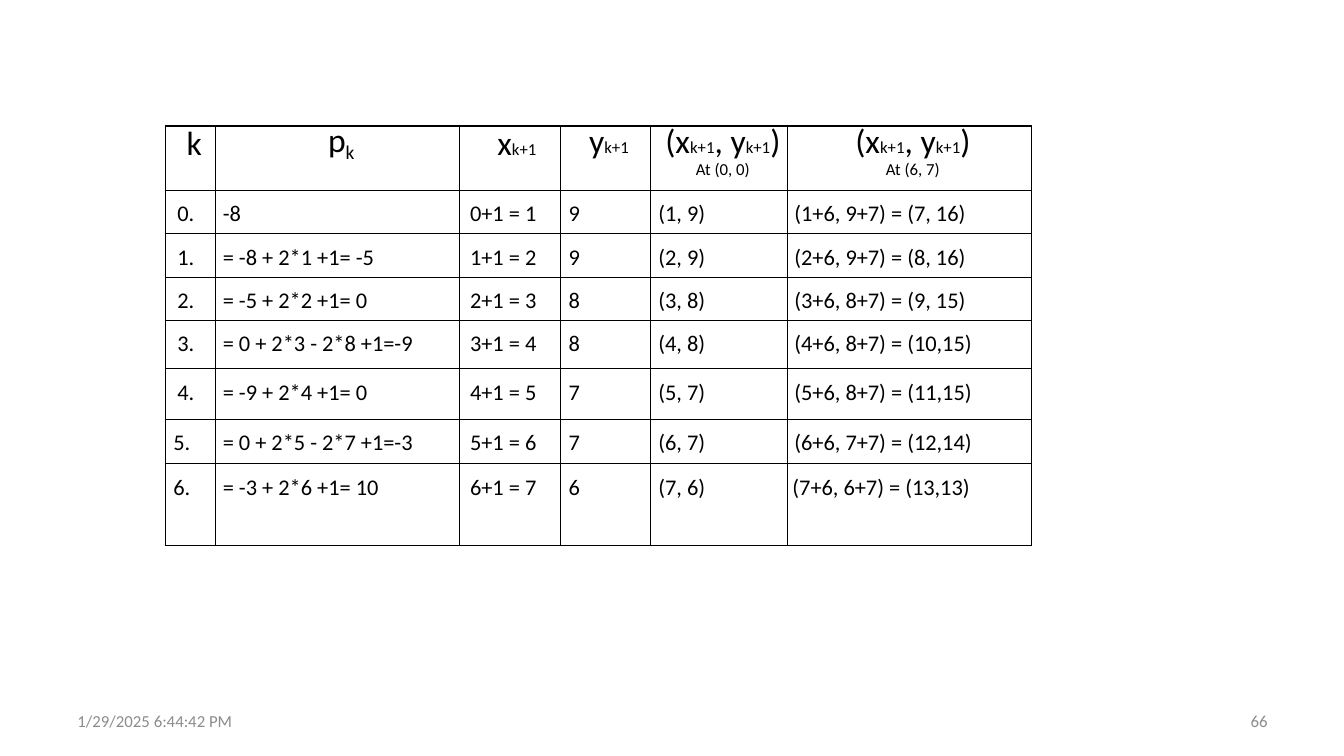
import pptx
import pptx.util
import pptx.dml.color
import pptx.enum.text
import pptx.oxml
import pptx.oxml.ns

Inches, Pt = pptx.util.Inches, pptx.util.Pt
ALIGN = pptx.enum.text.PP_ALIGN
ANCHOR = pptx.enum.text.MSO_ANCHOR


def color(hex_text):
    return pptx.dml.color.RGBColor.from_string(hex_text)


def write(paragraph, *runs, size=16, ink="000000", align=ALIGN.LEFT, line=None):
    """Each run is a text, or a (text, size, baseline shift) tuple."""
    paragraph.alignment = align
    if line:
        paragraph.line_spacing = Pt(line)
    for part in runs:
        text, points, shift = part if isinstance(part, tuple) else (part, size, 0)
        run = paragraph.add_run()
        run.text = text
        run.font.name = "Calibri"
        run.font.size = Pt(points)
        run.font.color.rgb = color(ink)
        if shift:
            run.font._element.set("baseline", str(shift * 1000))


deck = pptx.Presentation()
deck.slide_width, deck.slide_height = Inches(13.33), Inches(7.5)
slide = deck.slides.add_slide(deck.slide_layouts[6])

# Footer: date and slide number
for text, left, align in [("1/29/2025 6:44:42 PM", 0.67, ALIGN.LEFT),
                          ("66", 9.56, ALIGN.RIGHT)]:
    footer = slide.shapes.add_textbox(
        Inches(left), Inches(6.95), Inches(3.11), Inches(0.4)).text_frame
    footer.word_wrap = True
    footer.vertical_anchor = ANCHOR.MIDDLE
    write(footer.paragraphs[0], text, size=12, ink="8C8C8C", align=align)

# Content of the midpoint circle steps
next_index = ("k+1", 12, 0)
point = ["(x", next_index, ", y", next_index, ")"]
headings = [  # runs, second line, alignment, line spacing, left margin
    (["k"], None, ALIGN.LEFT, 27.6, 0.21),
    (["p", ("k", 24, -21)], None, ALIGN.CENTER, 27.6, 0.07),
    (["x", next_index], None, ALIGN.RIGHT, 27.6, 0),
    (["y", next_index], None, ALIGN.CENTER, 25.9, 0.07),
    (point, "At (0, 0)", ALIGN.CENTER, 25.9, 0.08),
    (point, "At (6, 7)", ALIGN.CENTER, 25.9, 0.07),
]
steps = [
    ("0.", "-8", "0+1 = 1", "9", "(1, 9)", "(1+6, 9+7) = (7, 16)"),
    ("1.", "= -8 + 2*1 +1= -5", "1+1 = 2", "9", "(2, 9)", "(2+6, 9+7) = (8, 16)"),
    ("2.", "= -5 + 2*2 +1= 0", "2+1 = 3", "8", "(3, 8)", "(3+6, 8+7) = (9, 15)"),
    ("3.", "= 0 + 2*3 - 2*8 +1=-9", "3+1 = 4", "8", "(4, 8)", "(4+6, 8+7) = (10,15)"),
    ("4.", "= -9 + 2*4 +1= 0", "4+1 = 5", "7", "(5, 7)", "(5+6, 8+7) = (11,15)"),
    ("5.", "= 0 + 2*5 - 2*7 +1=-3", "5+1 = 6", "7", "(6, 7)", "(6+6, 7+7) = (12,14)"),
    ("6.", "= -3 + 2*6 +1= 10", "6+1 = 7", "6", "(7, 6)", "(7+6, 6+7) = (13,13)"),
]
column_widths = [0.5, 2.42, 1, 0.89, 1.36, 2.42]
row_heights = [0.64, 0.43, 0.43, 0.43, 0.48, 0.5, 0.44, 0.81]
step_margins = [0.12, 0.07, 0, 0.08, 0.08, 0.07]
X_COLUMN = 2

# Table grid
table = slide.shapes.add_table(
    len(row_heights), len(column_widths), Inches(1.64), Inches(1.25),
    Inches(sum(column_widths)), Inches(sum(row_heights))).table
table.first_row = table.horz_banding = False
for column, width in zip(table.columns, column_widths):
    column.width = Inches(width)
for row, height in zip(table.rows, row_heights):
    row.height = Inches(height)

# Cell margins, borders and text
for r in range(len(row_heights)):
    for c in range(len(column_widths)):
        cell = table.cell(r, c)
        cell.margin_top = Inches(0.1 if r else 0)
        cell.margin_bottom = 0
        cell.margin_right = Inches(0.24 if c == X_COLUMN else 0)
        cell.vertical_anchor = ANCHOR.TOP
        borders = cell._tc.get_or_add_tcPr()
        for side in ("lnL", "lnR", "lnT", "lnB"):
            borders.append(pptx.oxml.parse_xml(
                f'<a:{side} {pptx.oxml.ns.nsdecls("a")} w="12700"><a:solidFill>'
                f'<a:srgbClr val="000000"/></a:solidFill></a:{side}>'))
        cell.fill.background()
        frame = cell.text_frame
        if r == 0:
            runs, origin, align, line, margin = headings[c]
            write(frame.paragraphs[0], *runs, size=24, align=align, line=line)
            if origin:
                write(frame.add_paragraph(), origin, size=12, align=align, line=12.6)
        else:
            margin = step_margins[c]
            if c == 0 and r >= 6:
                margin = 0.08
            elif c == 5 and r == 7:
                margin = 0.05
            write(frame.paragraphs[0], steps[r - 1][c],
                  align=ALIGN.RIGHT if c == X_COLUMN else ALIGN.LEFT)
        cell.margin_left = Inches(margin)

deck.save("out.pptx")
